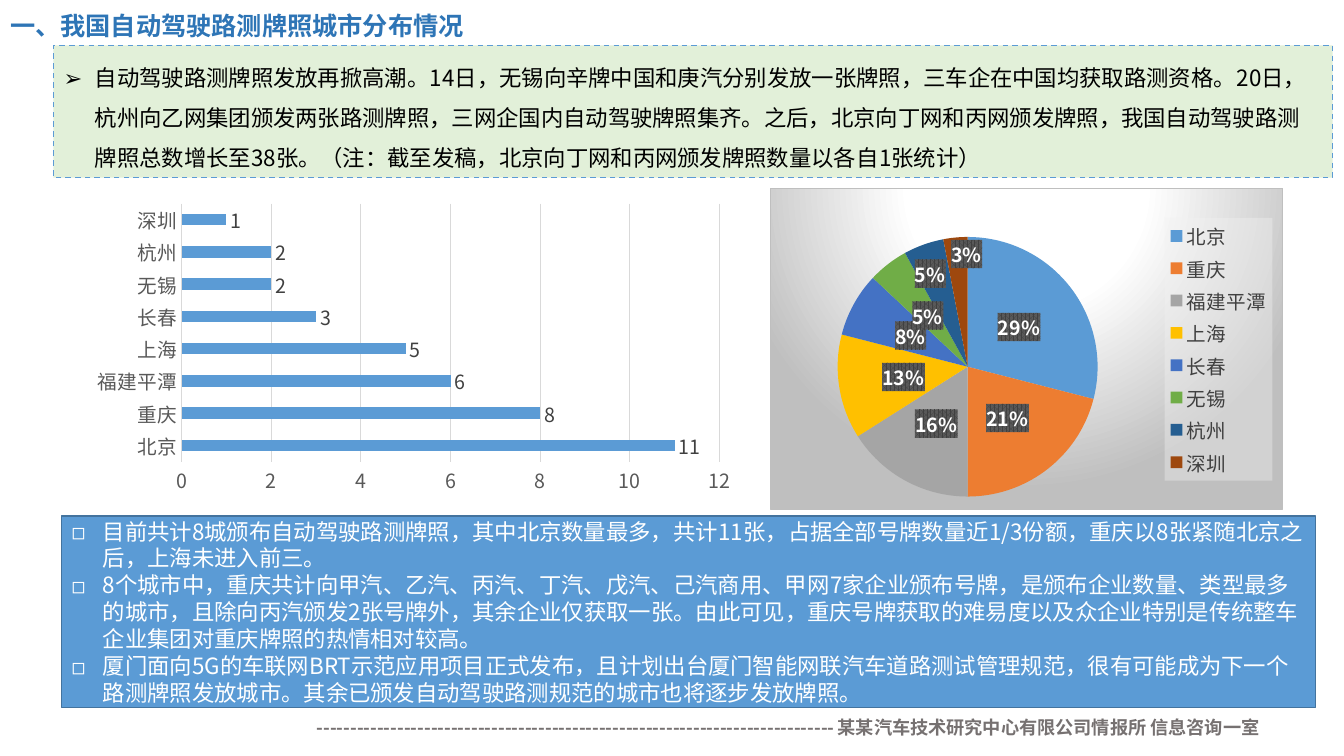
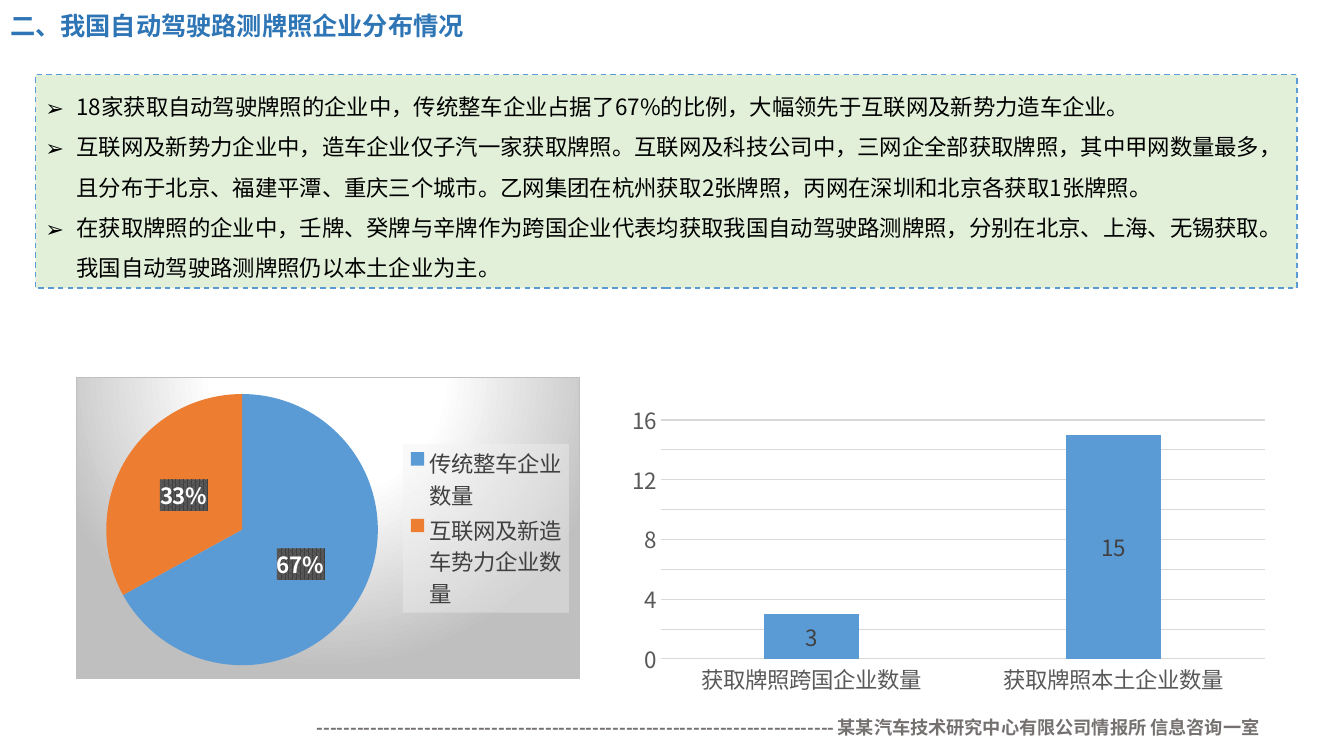
from copy import deepcopy
from dataclasses import dataclass

from lxml import etree
from pptx import Presentation
from pptx.chart import data as chart_data
from pptx.dml import color
from pptx.enum import chart as ce, dml, text
from pptx.oxml import ns, parse_xml
from pptx.util import Pt


@dataclass(frozen=True)
class Theme:
    font: str = "Noto Sans CJK SC"
    title: str = "2E75B6"
    footer: str = "767171"
    blue: str = "5B9BD5"
    blue_edge: str = "43739E"
    green: str = "E2F0D9"
    black: str = "000000"
    white: str = "FFFFFF"
    axis: str = "595959"
    grid: str = "D9D9D9"
    label: str = "404040"
    panel: str = "BFBFBF"
    legend: str = "F2F2F2"
    slices: tuple = ("5B9BD5", "ED7D31", "A5A5A5", "FFC000",
                     "4472C4", "70AD47", "255E91", "9E480E")
    title_size: int = 18
    body_size: int = 16
    footer_size: int = 13


THEME = Theme()
SLIDE_SIZE = (960, 540)
TITLE_BOX = (0, 4.8, 851, 26.6)
FOOTER_BOX = (95.8, 508.3, 810.7, 23)
FOOTER = "-" * 77 + " 某某汽车技术研究中心有限公司情报所 信息咨询一室"
HANGING_INDENT = 22.3

LIST_STYLES = {
    "summary": dict(fill=THEME.green, edge=THEME.blue, dashed=True, ink=THEME.black,
                    bullet="➢", spacing=28.8, anchor=text.MSO_ANCHOR.TOP),
    "finding": dict(fill=THEME.blue, edge=THEME.blue_edge, dashed=False, ink=THEME.white,
                    bullet="◻", spacing=19.2, anchor=text.MSO_ANCHOR.MIDDLE),
}

CITIES = ["北京", "重庆", "福建平潭", "上海", "长春", "无锡", "杭州", "深圳"]

# Plot and legend frames are fractions of the chart: x, y, width, height.
SLIDES = [
    dict(
        layout="Two Content",
        title="一、我国自动驾驶路测牌照城市分布情况",
        lists=[
            dict(style="summary", box=(38.2, 32.4, 913.7, 94.5), items=[
                "自动驾驶路测牌照发放再掀高潮。14日，无锡向辛牌中国和庚汽分别发放一张牌照，三车企在中国均获取路测资格。20日，杭州向乙网集团颁发两张路测牌照，三网企国内自动驾驶牌照集齐。之后，北京向丁网和丙网颁发牌照，我国自动驾驶路测牌照总数增长至38张。（注：截至发稿，北京向丁网和丙网颁发牌照数量以各自1张统计）",
            ]),
            dict(style="finding", box=(44, 368.6, 895.7, 136.8), items=[
                "目前共计8城颁布自动驾驶路测牌照，其中北京数量最多，共计11张，占据全部号牌数量近1/3份额，重庆以8张紧随北京之后，上海未进入前三。",
                "8个城市中，重庆共计向甲汽、乙汽、丙汽、丁汽、戊汽、己汽商用、甲网7家企业颁布号牌，是颁布企业数量、类型最多的城市，且除向丙汽颁发2张号牌外，其余企业仅获取一张。由此可见，重庆号牌获取的难易度以及众企业特别是传统整车企业集团对重庆牌照的热情相对较高。",
                "厦门面向5G的车联网BRT示范应用项目正式发布，且计划出台厦门智能网联汽车道路测试管理规范，很有可能成为下一个路测牌照发放城市。其余已颁发自动驾驶路测规范的城市也将逐步发放牌照。",
            ]),
        ],
        pie=dict(box=(550, 134.6, 366.5, 229.7), size=14, categories=CITIES,
                 values=[29, 21, 16, 13, 8, 5, 5, 3],
                 plot=(0.13, 0.15, 0.51, 0.81), legend=(0.77, 0.09, 0.21, 0.82),
                 label_shifts={6: (-0.03, -0.1), 7: (0.01, -0.15)}),
        bars=dict(box=(60.5, 141.1, 470.9, 216), size=14, categories=CITIES,
                  values=[11, 8, 6, 5, 3, 2, 2, 1], kind=ce.XL_CHART_TYPE.BAR_CLUSTERED,
                  label_position=ce.XL_LABEL_POSITION.OUTSIDE_END,
                  gap=182, overlap=0, maximum=12),
    ),
    dict(
        layout="Title and Content",
        title="二、我国自动驾驶路测牌照企业分布情况",
        lists=[
            dict(style="summary", box=(25.2, 53.3, 901.4, 152.6), items=[
                "18家获取自动驾驶牌照的企业中，传统整车企业占据了67%的比例，大幅领先于互联网及新势力造车企业。",
                "互联网及新势力企业中，造车企业仅子汽一家获取牌照。互联网及科技公司中，三网企全部获取牌照，其中甲网数量最多，且分布于北京、福建平潭、重庆三个城市。乙网集团在杭州获取2张牌照，丙网在深圳和北京各获取1张牌照。",
                "在获取牌照的企业中，壬牌、癸牌与辛牌作为跨国企业代表均获取我国自动驾驶路测牌照，分别在北京、上海、无锡获取。我国自动驾驶路测牌照仍以本土企业为主。",
            ]),
        ],
        pie=dict(box=(54, 269.3, 360, 216), size=16,
                 categories=["传统整车企业数量", "互联网及新造车势力企业数量"], values=[67, 33],
                 plot=(0.06, 0.05, 0.54, 0.91), legend=(0.65, 0.22, 0.33, 0.56),
                 label_shifts={}),
        bars=dict(box=(442.1, 284.4, 470.9, 216), size=16,
                  categories=["获取牌照跨国企业数量", "获取牌照本土企业数量"], values=[3, 15],
                  kind=ce.XL_CHART_TYPE.COLUMN_CLUSTERED,
                  label_position=ce.XL_LABEL_POSITION.CENTER,
                  gap=219, overlap=-27, maximum=16),
    ),
]

A_NS, C_NS = ns.nsdecls("a"), ns.nsdecls("c", "a")


def rgb(value):
    return color.RGBColor.from_string(value)


def solid(value, alpha=100):
    return (f'<a:solidFill><a:srgbClr val="{value}"><a:alpha val="{alpha * 1000}"/>'
            '</a:srgbClr></a:solidFill>')


GRADIENT_PANEL = (
    '<a:gradFill><a:gsLst>'
    + "".join(f'<a:gs pos="{stop * 1000}"><a:srgbClr val="{value}"/></a:gs>'
              for stop, value in ((0, THEME.white), (39, THEME.white), (100, THEME.panel)))
    + '</a:gsLst><a:path path="circle">'
    '<a:fillToRect l="50000" t="-80000" r="50000" b="180000"/></a:path></a:gradFill>'
    f'<a:ln w="9525">{solid(THEME.panel)}</a:ln>')
LABEL_PATTERN = (f'<a:pattFill prst="pct75"><a:fgClr><a:srgbClr val="{THEME.label}"/></a:fgClr>'
                 f'<a:bgClr><a:srgbClr val="{THEME.axis}"/></a:bgClr></a:pattFill>')


def set_font(font, size, ink, bold=False):
    """Format a font for Latin and East Asian text alike."""
    font.size, font.bold, font.name = Pt(size), bold, THEME.font
    font.color.rgb = rgb(ink)
    east_asian = etree.SubElement(font._rPr, ns.qn("a:ea"))
    east_asian.set("typeface", THEME.font)


def place(shape, box):
    shape.left, shape.top, shape.width, shape.height = map(Pt, box)


def write(paragraph, wording, size, ink, bold=False):
    run = paragraph.add_run()
    run.text = wording
    set_font(run.font, size, ink, bold)


def add_footer(master, slide):
    """Build the footer and hand it to the master, so every slide shows it."""
    footer = slide.shapes.add_textbox(*map(Pt, FOOTER_BOX))
    footer.text_frame.word_wrap = True
    paragraph = footer.text_frame.paragraphs[0]
    paragraph.alignment = text.PP_ALIGN.RIGHT
    write(paragraph, FOOTER, THEME.footer_size, THEME.footer, bold=True)
    master.shapes.element.append(footer.element)


def fill_title(title, wording):
    frame = title.text_frame
    frame.auto_size = text.MSO_AUTO_SIZE.NONE
    frame.vertical_anchor = text.MSO_ANCHOR.MIDDLE
    paragraph = frame.paragraphs[0]
    paragraph.alignment = text.PP_ALIGN.LEFT
    write(paragraph, wording, THEME.title_size, THEME.title, bold=True)


def fill_list(body, content):
    style = LIST_STYLES[content["style"]]
    place(body, content["box"])
    body.fill.solid()
    body.fill.fore_color.rgb = rgb(style["fill"])
    body.line.color.rgb = rgb(style["edge"])
    body.line.width = Pt(1)
    if style["dashed"]:
        body.line.dash_style = dml.MSO_LINE.DASH
    frame = body.text_frame
    frame.auto_size = text.MSO_AUTO_SIZE.NONE
    frame.vertical_anchor = style["anchor"]
    for index, item in enumerate(content["items"]):
        paragraph = frame.add_paragraph() if index else frame.paragraphs[0]
        paragraph.line_spacing = Pt(style["spacing"])
        paragraph.space_before = Pt(0)
        properties = paragraph._p.get_or_add_pPr()
        properties.set("marL", str(Pt(HANGING_INDENT)))
        properties.set("indent", str(-Pt(HANGING_INDENT)))
        properties.append(parse_xml(f'<a:buFont {A_NS} typeface="{THEME.font}"/>'))
        properties.append(parse_xml(f'<a:buChar {A_NS} char="{style["bullet"]}"/>'))
        write(paragraph, item, THEME.body_size, style["ink"])


def paint(element, paint_xml):
    """Give a chart part its fill; the schema wants it just before the text format."""
    properties = parse_xml(f'<c:spPr {C_NS}>{paint_xml}</c:spPr>')
    element.find(ns.qn("c:txPr")).addprevious(properties)


def manual_layout(**values):
    entries = "".join(f'<c:{name} val="{value}"/>' for name, value in values.items())
    return parse_xml(f'<c:layout {C_NS}><c:manualLayout>{entries}</c:manualLayout></c:layout>')


def set_frame(element, index, frame, **target):
    for layout in element.findall(ns.qn("c:layout")):
        element.remove(layout)
    x, y, width, height = frame
    element.insert(index, manual_layout(**target, xMode="edge", yMode="edge",
                                        x=x, y=y, w=width, h=height))


def shift_label(labels, point, shift):
    """Move one point's label, keeping the look of the others."""
    label = parse_xml(f'<c:dLbl {C_NS}><c:idx val="{point}"/></c:dLbl>')
    label.append(manual_layout(x=shift[0], y=shift[1]))
    skipped = {ns.qn("c:dLbl"), ns.qn("c:showLeaderLines")}
    label.extend(deepcopy(child) for child in labels if child.tag not in skipped)
    return label


def add_chart(slide, kind, content):
    data = chart_data.CategoryChartData()
    data.categories = content["categories"]
    data.add_series("Series 1", content["values"])
    chart = slide.shapes.add_chart(kind, *map(Pt, content["box"]), data).chart
    chart.has_title = False
    set_font(chart.font, content["size"], THEME.black)
    return chart, chart.plots[0]


def add_pie(slide, content):
    chart, plot = add_chart(slide, ce.XL_CHART_TYPE.PIE, content)
    paint(chart.element, GRADIENT_PANEL)
    set_frame(chart.element.chart.plotArea, 0, content["plot"], layoutTarget="inner")

    chart.has_legend = True
    legend = chart.legend
    legend.position = ce.XL_LEGEND_POSITION.RIGHT
    legend.include_in_layout = False
    set_font(legend.font, content["size"], THEME.label)
    legend_element = chart.element.chart.find(ns.qn("c:legend"))
    paint(legend_element, solid(THEME.legend, alpha=39))
    set_frame(legend_element, 1, content["legend"])

    series = plot.series[0]
    for index in range(len(content["values"])):
        fill = series.points[index].format.fill
        fill.solid()
        fill.fore_color.rgb = rgb(THEME.slices[index])
    labels = series.data_labels
    labels.show_value, labels.show_percentage = False, True
    labels.number_format, labels.number_format_is_linked = "0%", False
    labels.position = ce.XL_LABEL_POSITION.CENTER
    set_font(labels.font, content["size"], THEME.white, bold=True)
    element = series._element.find(ns.qn("c:dLbls"))
    paint(element, LABEL_PATTERN)
    moved = [shift_label(element, *entry) for entry in content["label_shifts"].items()]
    for index, label in enumerate(moved):
        element.insert(index, label)


def add_bars(slide, content):
    chart, plot = add_chart(slide, content["kind"], content)
    chart.has_legend = False
    plot.vary_by_categories = False
    plot.gap_width, plot.overlap = content["gap"], content["overlap"]
    series = plot.series[0]
    series.format.fill.solid()
    series.format.fill.fore_color.rgb = rgb(THEME.blue)
    labels = series.data_labels
    labels.show_value = True
    labels.position = content["label_position"]
    set_font(labels.font, content["size"], THEME.label)

    for axis in (chart.category_axis, chart.value_axis):
        axis.major_tick_mark = axis.minor_tick_mark = ce.XL_TICK_MARK.NONE
        set_font(axis.tick_labels.font, content["size"], THEME.axis)
    values = chart.value_axis
    values.minimum_scale, values.maximum_scale, values.major_unit = 0, content["maximum"], 2
    values.format.line.fill.background()
    for line in (chart.category_axis.format.line, values.major_gridlines.format.line):
        line.color.rgb = rgb(THEME.grid)
        line.width = Pt(0.75)


def main():
    presentation = Presentation()
    presentation.slide_width, presentation.slide_height = map(Pt, SLIDE_SIZE)
    master = presentation.slide_master
    place(master.placeholders[0], TITLE_BOX)
    for content in SLIDES:
        layout = presentation.slide_layouts.get_by_name(content["layout"])
        slide = presentation.slides.add_slide(layout)
        if len(presentation.slides) == 1:
            add_footer(master, slide)
        title, *bodies = slide.placeholders
        fill_title(title, content["title"])
        for body, entry in zip(bodies, content["lists"]):
            fill_list(body, entry)
        add_pie(slide, content["pie"])
        add_bars(slide, content["bars"])
    presentation.save("out.pptx")


if __name__ == "__main__":
    main()
